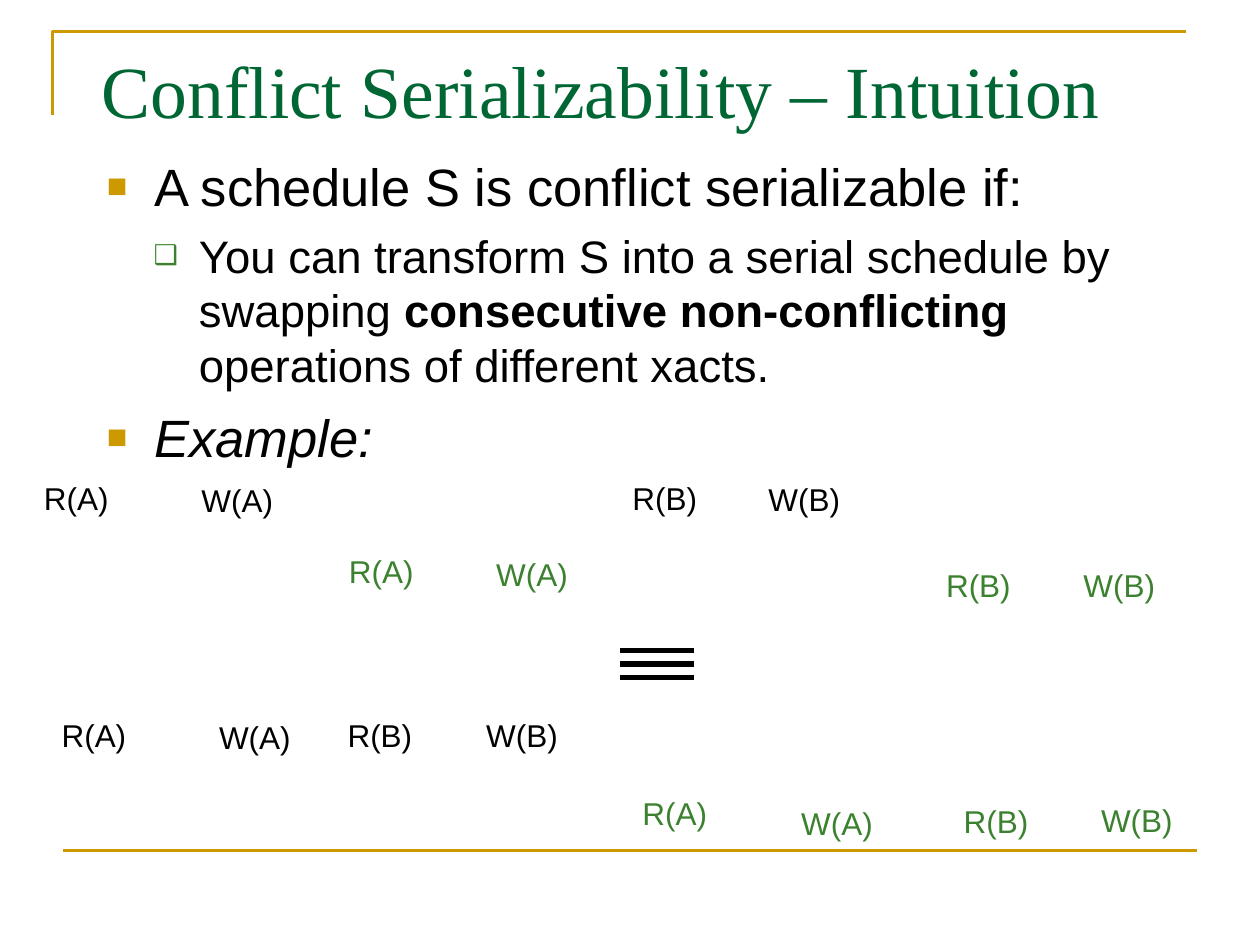
from typing import NamedTuple

from lxml import etree
from pptx import Presentation
from pptx import util as u
from pptx.dml.color import RGBColor
from pptx.enum import shapes, text
from pptx.oxml.ns import qn

COLUMNS, ROWS = 100, 75
GOLD, TITLE_GREEN, GREEN, BLACK, WHITE = "CC9900", "006633", "3B812F", "000000", "FFFFFF"

presentation = Presentation()
presentation.slide_width = u.Inches(10)
presentation.slide_height = u.Inches(7.5)


class Operation(NamedTuple):
    label: str
    column: float
    row: float
    color: str = BLACK


class Bullet(NamedTuple):
    symbol: str
    color: str
    percent: int
    margin: float
    hang: float
    size: int
    space: float


OUTER = Bullet("■", GOLD, 65, 3.75, 3.75, 30, 7.5)
INNER = Bullet("❑", GREEN, 60, 7.3, 3.6, 26, 6.5)

INTERLEAVED = (
    Operation("R(A)", 2.5, 37.5),
    Operation("R(B)", 49.2, 37.5),
    Operation("W(A)", 15, 37.7),
    Operation("W(B)", 60, 37.6),
    Operation("R(A)", 26.7, 43.3, GREEN),
    Operation("W(A)", 38.4, 43.6, GREEN),
    Operation("R(B)", 74.1, 44.4, GREEN),
    Operation("W(B)", 85, 44.4, GREEN),
)
SERIAL = (
    Operation("R(A)", 3.9, 56.3),
    Operation("R(B)", 26.6, 56.3),
    Operation("W(A)", 16.4, 56.5),
    Operation("W(B)", 37.6, 56.3),
    Operation("R(A)", 50, 62.5, GREEN),
    Operation("W(A)", 62.6, 63.3, GREEN),
    Operation("R(B)", 75.5, 63.2, GREEN),
    Operation("W(B)", 86.4, 63.1, GREEN),
)


def across(columns: float) -> int:
    return round(presentation.slide_width * columns / COLUMNS)


def down(rows: float) -> int:
    return round(presentation.slide_height * rows / ROWS)


def rgb(color: str) -> RGBColor:
    return RGBColor.from_string(color)


def write(paragraph, words: str, *, size: float, color: str = BLACK,
          font: str = "Arial", bold: bool = False, italic: bool = False) -> None:
    run = paragraph.add_run()
    run.text = words
    run.font.name = font
    run.font.size = u.Pt(size)
    run.font.bold = bold
    run.font.italic = italic
    run.font.color.rgb = rgb(color)


def add_text_frame(parent, left: float, top: float, width: float, height: float):
    box = parent.add_textbox(across(left), down(top), across(width), down(height))
    box.text_frame.word_wrap = True
    return box.text_frame


def set_bullet(paragraph, bullet: Bullet) -> None:
    paragraph.space_before = u.Pt(bullet.space)
    properties = paragraph._p.get_or_add_pPr()
    properties.set("marL", str(across(bullet.margin)))
    properties.set("indent", str(-across(bullet.hang)))
    color = etree.SubElement(properties, qn("a:buClr"))
    etree.SubElement(color, qn("a:srgbClr"), val=bullet.color)
    etree.SubElement(properties, qn("a:buSzPct"), val=str(bullet.percent * 1000))
    etree.SubElement(properties, qn("a:buFont"), typeface="Arial")
    etree.SubElement(properties, qn("a:buChar"), char=bullet.symbol)


def add_line(parent, left: float, right: float, row: float, color: str, weight: float) -> None:
    line = parent.add_connector(shapes.MSO_CONNECTOR.STRAIGHT,
                                across(left), down(row), across(right), down(row))
    line.line.color.rgb = rgb(color)
    line.line.width = u.Pt(weight)
    etree.SubElement(line._element.spPr, qn("a:effectLst"))


def add_corner(parent) -> None:
    left, top, right, bottom = across(4.17), down(2.5), across(94.17), down(9.17)
    builder = parent.build_freeform(left, bottom)
    builder.add_line_segments([(left, top), (right, top)], close=False)
    corner = builder.convert_to_shape()
    corner.shadow.inherit = False
    corner.fill.background()
    corner.line.color.rgb = rgb(GOLD)
    corner.line.width = u.Pt(1.5)


def add_schedule(parent, operations: tuple[Operation, ...]) -> None:
    group = parent.add_group_shape()
    for operation in operations:
        width = 7.2 if operation.label.startswith("R") else 7.7
        shape = group.shapes.add_shape(shapes.MSO_SHAPE.RECTANGLE, across(operation.column),
                                       down(operation.row), across(width), down(4))
        shape.shadow.inherit = False
        shape.fill.solid()
        shape.fill.fore_color.rgb = rgb(WHITE)
        shape.line.fill.background()
        frame = shape.text_frame
        frame.word_wrap = False
        frame.auto_size = text.MSO_AUTO_SIZE.SHAPE_TO_FIT_TEXT
        frame.vertical_anchor = text.MSO_ANCHOR.TOP
        paragraph = frame.paragraphs[0]
        paragraph.alignment = text.PP_ALIGN.LEFT
        write(paragraph, operation.label, size=18, color=operation.color)


def add_title(parent) -> None:
    frame = add_text_frame(parent, 7.1, 3.1, 85, 9.2)
    frame.vertical_anchor = text.MSO_ANCHOR.TOP
    write(frame.paragraphs[0], "Conflict Serializability – Intuition",
          size=42, color=TITLE_GREEN, font="Times New Roman")


def add_body(parent) -> None:
    frame = add_text_frame(parent, 7.5, 11.7, 89.2, 28.3)
    definition, condition, example = (
        frame.paragraphs[0], frame.add_paragraph(), frame.add_paragraph())
    condition.level = 1
    for paragraph, bullet in ((definition, OUTER), (condition, INNER), (example, OUTER)):
        set_bullet(paragraph, bullet)
    write(definition, "A schedule S is conflict serializable if:", size=OUTER.size)
    write(condition, "You can transform S into a serial schedule by swapping ", size=INNER.size)
    write(condition, "consecutive non-conflicting ", size=INNER.size, bold=True)
    write(condition, "operations of different xacts.", size=INNER.size)
    write(example, "Example:", size=OUTER.size, italic=True)


def main() -> None:
    slide = presentation.slides.add_slide(presentation.slide_layouts[6])
    add_corner(slide.shapes)
    add_line(slide.shapes, 5, 95, 67.5, GOLD, 1.5)
    add_title(slide.shapes)
    add_body(slide.shapes)
    add_schedule(slide.shapes, INTERLEAVED)
    equivalence = slide.shapes.add_group_shape()
    for bar in range(3):
        add_line(equivalence.shapes, 49.2, 55.1, 51.6 + 1.1 * bar, BLACK, 3)
    add_schedule(slide.shapes, SERIAL)
    presentation.save("out.pptx")


if __name__ == "__main__":
    main()
